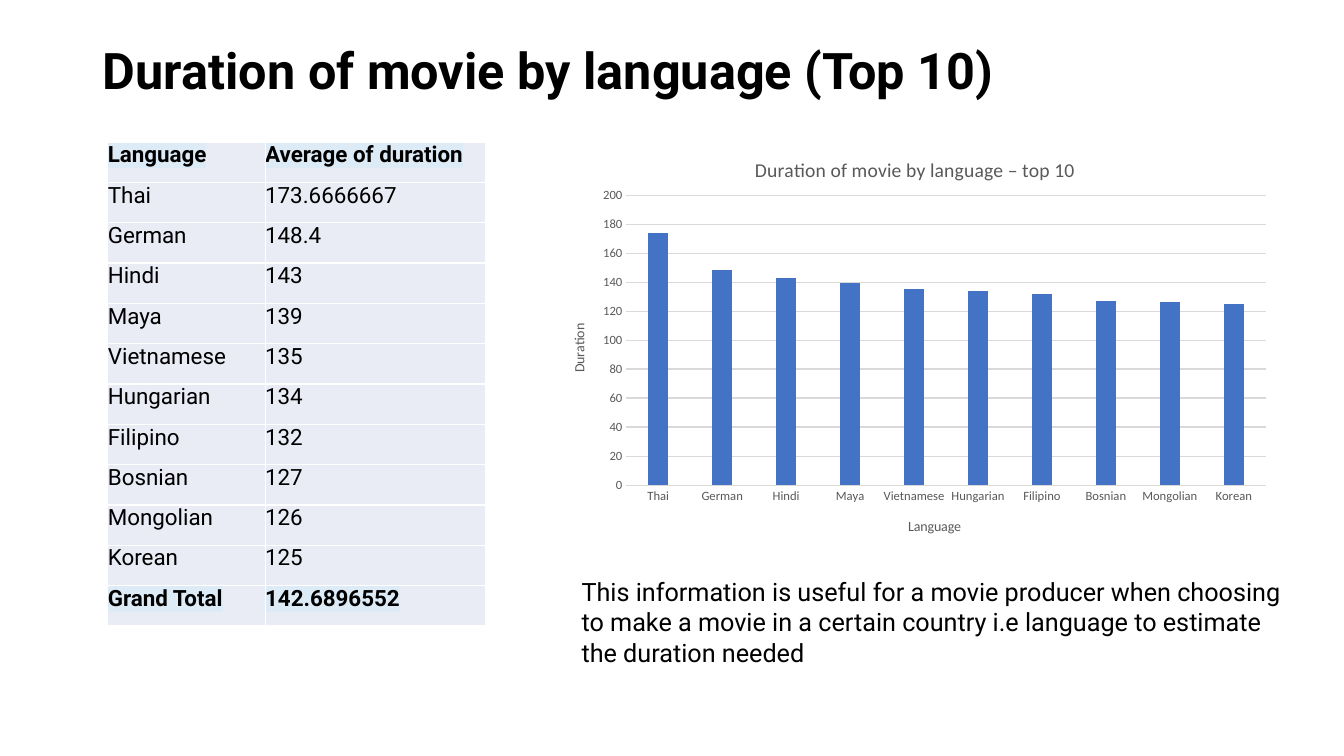
from lxml.etree import SubElement
from pptx import Presentation
from pptx.chart.data import CategoryChartData
from pptx.dml.color import RGBColor
from pptx.enum.chart import XL_CHART_TYPE, XL_TICK_MARK
from pptx.enum.text import MSO_ANCHOR, PP_ALIGN
from pptx.oxml import parse_xml
from pptx.oxml.ns import nsdecls, qn
from pptx.util import Inches, Pt

BLACK = RGBColor(0x00, 0x00, 0x00)
WHITE = RGBColor(0xFF, 0xFF, 0xFF)
GREY = RGBColor(0x59, 0x59, 0x59)
LINE_GREY = RGBColor(0xD9, 0xD9, 0xD9)
BAR_BLUE = RGBColor(0x44, 0x72, 0xC4)
CELL_FILL = RGBColor(0xE9, 0xEB, 0xF5)
HIGHLIGHT = RGBColor(0xDD, 0xEB, 0xF7)

HEADER = ("Language", "Average of duration")
DURATIONS = [
    ("Thai", "173.6666667"),
    ("German", "148.4"),
    ("Hindi", "143"),
    ("Maya", "139"),
    ("Vietnamese", "135"),
    ("Hungarian", "134"),
    ("Filipino", "132"),
    ("Bosnian", "127"),
    ("Mongolian", "126"),
    ("Korean", "125"),
]
TOTAL = ("Grand Total", "142.6896552")
COLUMN_WIDTHS = (1.56, 2.19)
ROW_HEIGHT = 0.4


def set_values(target, **values):
    for name, value in values.items():
        setattr(target, name, value)


def format_font(font, size, color=BLACK, bold=False, name="Roboto"):
    set_values(font, size=Pt(size), bold=bold, name=name)
    font.color.rgb = color


def write(para, text, size, **style):
    span = para.add_run()
    span.text = text
    format_font(span.font, size, **style)
    return span


def highlight(span):
    fill = span.font._element.find(qn("a:solidFill"))
    fill.addnext(parse_xml(
        f'<a:highlight {nsdecls("a")}><a:srgbClr val="{HIGHLIGHT}"/></a:highlight>'))


def add_borders(cell):
    properties = cell._tc.get_or_add_tcPr()
    for index, side in enumerate(("lnL", "lnR", "lnT", "lnB")):
        properties.insert(index, parse_xml(
            f'<a:{side} {nsdecls("a")} w="{Pt(1)}"><a:solidFill>'
            f'<a:srgbClr val="{WHITE}"/></a:solidFill></a:{side}>'))


def add_title(page, text):
    title = page.shapes.title
    set_values(title, left=Inches(0.92), top=Inches(0),
               width=Inches(11.5), height=Inches(1.45))
    title.text_frame.vertical_anchor = MSO_ANCHOR.MIDDLE
    para = title.text_frame.paragraphs[0]
    set_values(para, alignment=PP_ALIGN.LEFT, line_spacing=0.9)
    write(para, text, 36, bold=True)


def add_duration_table(page):
    rows = [HEADER, *DURATIONS, TOTAL]
    table = page.shapes.add_table(
        len(rows), len(HEADER), Inches(1.07), Inches(1.41),
        Inches(sum(COLUMN_WIDTHS)), Inches(ROW_HEIGHT * len(rows))).table
    for column, width in zip(table.columns, COLUMN_WIDTHS):
        column.width = Inches(width)
    for row, texts in zip(table.rows, rows):
        row.height = Inches(ROW_HEIGHT)
        strong = texts in (HEADER, TOTAL)
        for cell, text in zip(row.cells, texts):
            set_values(cell, margin_left=0, margin_right=0,
                       margin_top=0, margin_bottom=0)
            cell.fill.solid()
            cell.fill.fore_color.rgb = CELL_FILL
            add_borders(cell)
            span = write(cell.text_frame.paragraphs[0], text, 16, bold=strong)
            if strong:
                highlight(span)


def set_layout(element, after=None, **fractions):
    """Place a chart part by fractions of the chart's size."""
    for old in element.findall(qn("c:layout")):
        element.remove(old)
    layout = parse_xml(f'<c:layout {nsdecls("c")}><c:manualLayout/></c:layout>')
    manual = layout[0]
    if "w" in fractions:
        SubElement(manual, qn("c:layoutTarget"), val="inner")
    for mode in ("xMode", "yMode"):
        SubElement(manual, qn(f"c:{mode}"), val="edge")
    for name, value in fractions.items():
        SubElement(manual, qn(f"c:{name}"), val=str(value))
    if after is None:
        element.insert(0, layout)
    else:
        after.addnext(layout)


def add_chart_title(owner, text, size, x, y):
    """Give a chart or an axis a title."""
    title = owner.chart_title if hasattr(owner, "chart_title") else owner.axis_title
    write(title.text_frame.paragraphs[0], text, size, color=GREY, name="Calibri")
    element = title._element
    set_layout(element, after=element.find(qn("c:tx")), x=x, y=y)


def format_axis(axis):
    set_values(axis, major_tick_mark=XL_TICK_MARK.NONE,
               minor_tick_mark=XL_TICK_MARK.NONE)
    format_font(axis.tick_labels.font, 9, color=GREY, name="Calibri")


def format_line(line):
    line.color.rgb = LINE_GREY
    line.width = Pt(0.75)


def add_duration_chart(page):
    data = CategoryChartData()
    data.categories = [language for language, _ in DURATIONS]
    data.add_series("Series 1", [round(float(value)) for _, value in DURATIONS])
    chart = page.shapes.add_chart(
        XL_CHART_TYPE.COLUMN_CLUSTERED, Inches(5.41), Inches(1.31),
        Inches(7.29), Inches(4.17), data).chart
    chart.has_legend = False
    format_font(chart.font, 10, name="Calibri")

    languages, durations = chart.category_axis, chart.value_axis
    add_chart_title(chart, "Duration of movie by language – top 10", 14, 0.28, 0.05)
    add_chart_title(languages, "Language", 10, 0.49, 0.91)
    add_chart_title(durations, "Duration", 10, 0.03, 0.45)
    for axis in (languages, durations):
        format_axis(axis)
    format_line(languages.format.line)
    durations.format.line.fill.background()
    format_line(durations.major_gridlines.format.line)
    set_values(durations, minimum_scale=0, maximum_scale=200, major_unit=20)

    plot = chart.plots[0]
    set_values(plot, gap_width=219, overlap=-27, vary_by_categories=False)
    bars = plot.series[0].format.fill
    bars.solid()
    bars.fore_color.rgb = BAR_BLUE
    plot_area = chart._chartSpace.chart.plotArea
    set_layout(plot_area, x=0.11, y=0.15, w=0.87, h=0.69)


def add_note(page, text):
    box = page.shapes.add_textbox(
        Inches(5.67), Inches(5.67), Inches(7.33), Inches(1.01))
    box.text_frame.word_wrap = True
    write(box.text_frame.paragraphs[0], text, 18)


def main():
    deck = Presentation()
    set_values(deck, slide_width=Inches(13.33), slide_height=Inches(7.5))
    page = deck.slides.add_slide(deck.slide_layouts.get_by_name("Title Only"))
    add_title(page, "Duration of movie by language (Top 10)")
    add_duration_table(page)
    add_duration_chart(page)
    add_note(page, "This information is useful for a movie producer when choosing "
                   "to make a movie in a certain country i.e language to estimate "
                   "the duration needed")
    deck.save("out.pptx")


if __name__ == "__main__":
    main()
